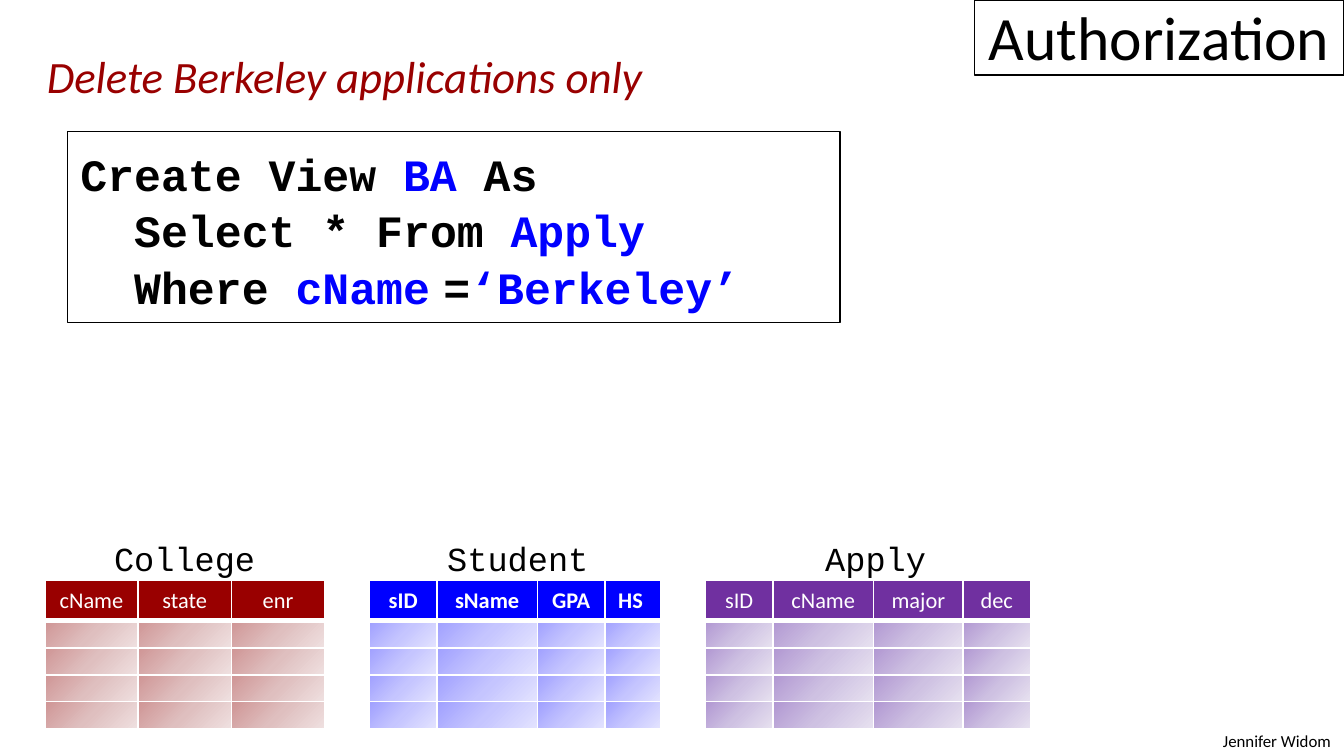
import pptx
import pptx.util
import pptx.dml.color
import pptx.enum.shapes
import pptx.enum.text
import pptx.oxml
import pptx.oxml.ns

Pt = pptx.util.Pt
RGBColor = pptx.dml.color.RGBColor
ALIGN = pptx.enum.text.PP_ALIGN
ANCHOR = pptx.enum.text.MSO_ANCHOR

BLACK = RGBColor(0x00, 0x00, 0x00)
WHITE = RGBColor(0xFF, 0xFF, 0xFF)
RED = RGBColor(0x99, 0x00, 0x00)
BLUE = RGBColor(0x00, 0x00, 0xFF)
PURPLE = RGBColor(0x70, 0x30, 0xA0)
RED_TINTS = RGBColor(0xCF, 0x95, 0x95), RGBColor(0xDF, 0xBF, 0xBF), RGBColor(0xEF, 0xE0, 0xE0)
BLUE_TINTS = RGBColor(0xA0, 0xA0, 0xFF), RGBColor(0xC5, 0xC5, 0xFF), RGBColor(0xE3, 0xE3, 0xFF)
PURPLE_TINTS = RGBColor(0xB1, 0x97, 0xD2), RGBColor(0xCE, 0xC1, 0xE2), RGBColor(0xE7, 0xE1, 0xF0)

prs = pptx.Presentation()
prs.slide_width = pptx.util.Inches(10)
prs.slide_height = pptx.util.Inches(5.625)
COL = prs.slide_width / 120
ROW = prs.slide_height / 56.25
s = prs.slides.add_slide(prs.slide_layouts[5])


def grid(*cells):
    """Turn left, top, width, height in columns and rows into lengths."""
    return [round(n * unit) for n, unit in zip(cells, (COL, ROW, COL, ROW))]


def add_text(box, text, font, size, color=BLACK, wrap=False):
    tf = s.shapes.add_textbox(*grid(*box)).text_frame
    tf.word_wrap = wrap
    p = tf.paragraphs[0]
    p.text = text
    p.font.name, p.font.size, p.font.color.rgb = font, Pt(size), color
    return p


# Title in the top right corner
title = s.shapes.title
title.left, title.top, title.width, title.height = grid(87, 0, 33, 5.6)
title.line.color.rgb = BLACK
title.line.width = Pt(0.75)
tf = title.text_frame
tf.text = "Authorization"
tf.auto_size = pptx.enum.text.MSO_AUTO_SIZE.NONE
tf.word_wrap = False
tf.vertical_anchor = ANCHOR.BOTTOM
tf.margin_bottom = Pt(1.5)
p = tf.paragraphs[0]
p.alignment = ALIGN.CENTER
p.font.name, p.font.size, p.font.color.rgb = "Calibri", Pt(33), BLACK

p = add_text((107, 53.9, 13, 2.5), "Jennifer Widom", "Calibri", 9, wrap=True)
p.alignment = ALIGN.RIGHT

# Tables: name, name column, left column, colour, tints, bold, (header, columns)
tables = [
    ("College", 9, 4, RED, RED_TINTS, False,
     [("cName", 25 / 3), ("state", 25 / 3), ("enr", 25 / 3)]),
    ("Student", 38.75, 33, BLUE, BLUE_TINTS, True,
     [("sID", 6), ("sName", 9), ("GPA", 6), ("HS", 5)]),
    ("Apply", 72.5, 63, PURPLE, PURPLE_TINTS, False,
     [("sID", 6), ("cName", 9), ("major", 8), ("dec", 6)]),
]
for name, name_left, left, color, tints, bold, columns in tables:
    width = sum(w for _, w in columns)
    table = s.shapes.add_table(5, len(columns), *grid(left, 43.2, width, 11)).table
    table.horz_banding = False
    for r, row in enumerate(table.rows):
        row.height = round((2 if r else 3) * ROW)
        for c, (header, w) in enumerate(columns):
            table.columns[c].width = round(w * COL)
            cell = table.cell(r, c)
            p = cell.text_frame.paragraphs[0]
            tc_pr = cell._tc.get_or_add_tcPr()
            for side in "LRTB":
                line_width = Pt(3 if r == 0 and side == "B" else 1)
                tc_pr.append(pptx.oxml.parse_xml(
                    f'<a:ln{side} {pptx.oxml.ns.nsdecls("a")} w="{line_width}">'
                    f'<a:solidFill><a:srgbClr val="{WHITE}"/></a:solidFill></a:ln{side}>'))
            if r == 0:
                cell.fill.solid()
                cell.fill.fore_color.rgb = color
                p.alignment = ALIGN.LEFT if header == "HS" else ALIGN.CENTER
                run = p.add_run()
                run.text = header
                run.font.name, run.font.size = "Calibri", Pt(12)
                run.font.bold, run.font.color.rgb = bold, WHITE
            else:
                cell.margin_top = cell.margin_bottom = 0
                p._p.get_or_add_endParaRPr().set("sz", "600")
                stops = "".join(f'<a:gs pos="{i * 50000}"><a:srgbClr val="{tint}"/></a:gs>'
                                for i, tint in enumerate(tints))
                tc_pr.append(pptx.oxml.parse_xml(
                    f'<a:gradFill {pptx.oxml.ns.nsdecls("a")} rotWithShape="1">'
                    f'<a:gsLst>{stops}</a:gsLst><a:lin ang="2700000" scaled="0"/></a:gradFill>'))
    add_text((name_left, 39.5, 15, 4), name, "Courier New", 18)

p = add_text((3, 3.1, 56, 5), "Delete Berkeley applications only", "Calibri", 24, RED)
p.font.italic = True

# View definition
sp = s.shapes.add_shape(pptx.enum.shapes.MSO_SHAPE.RECTANGLE, *grid(6, 9.8, 69, 14.2))
sp.shadow.inherit = False
sp.fill.background()
sp.line.color.rgb = BLACK
sp.line.width = Pt(0.75)
tf = sp.text_frame
tf.word_wrap = True
tf.vertical_anchor = ANCHOR.TOP
tf.margin_top = Pt(8)
code = [
    [("Create View ", BLACK, 24), ("BA", BLUE, 24), (" As", BLACK, 24)],
    [("  Select * From ", BLACK, 24), ("Apply", BLUE, 24)],
    [("  Where ", BLACK, 24), ("cName", BLUE, 24), (" ", BLUE, 12), ("=", BLACK, 24),
     ("‘Berkeley’", BLUE, 24)],
]
for i, runs in enumerate(code):
    p = tf.add_paragraph() if i else tf.paragraphs[0]
    p.alignment = ALIGN.LEFT
    if i:
        p.space_before = Pt(1.5)
    p.font.name, p.font.bold = "Courier New", True
    for text, color, size in runs:
        run = p.add_run()
        run.text = text
        run.font.size, run.font.color.rgb = Pt(size), color

prs.save("out.pptx")
